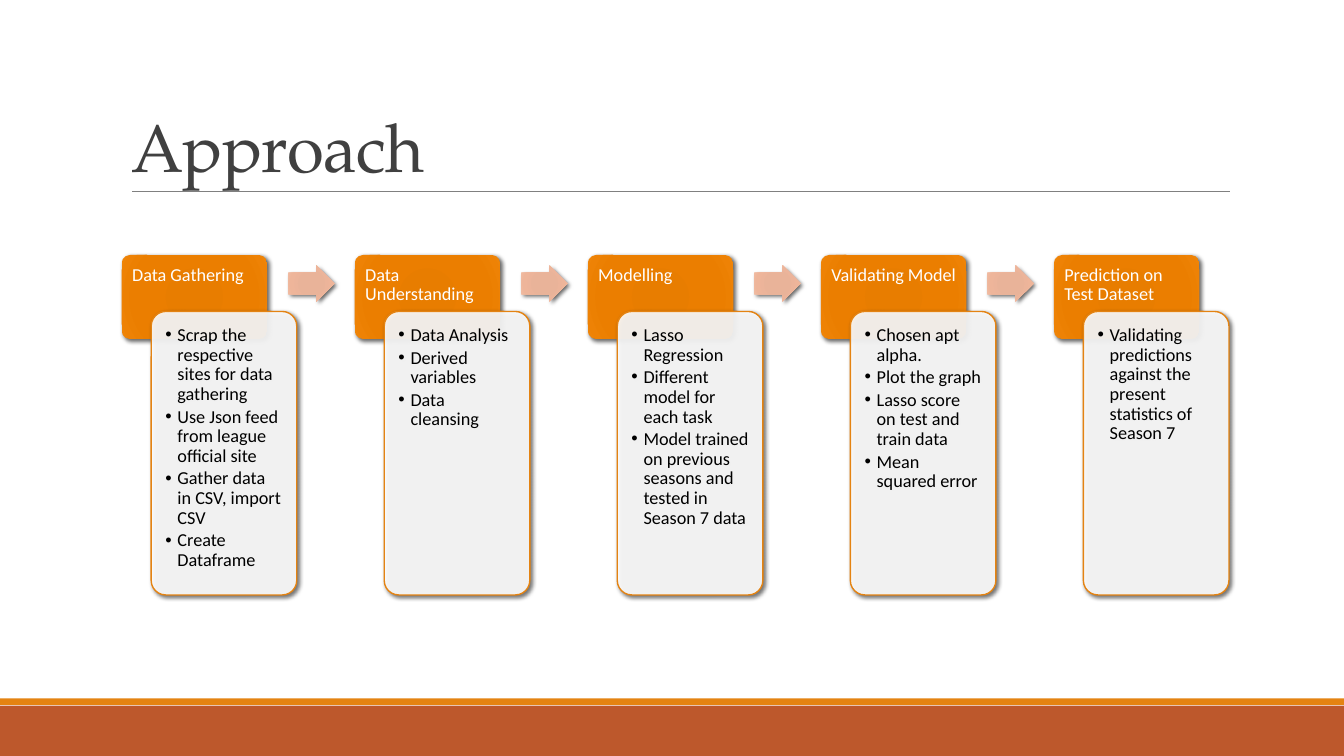
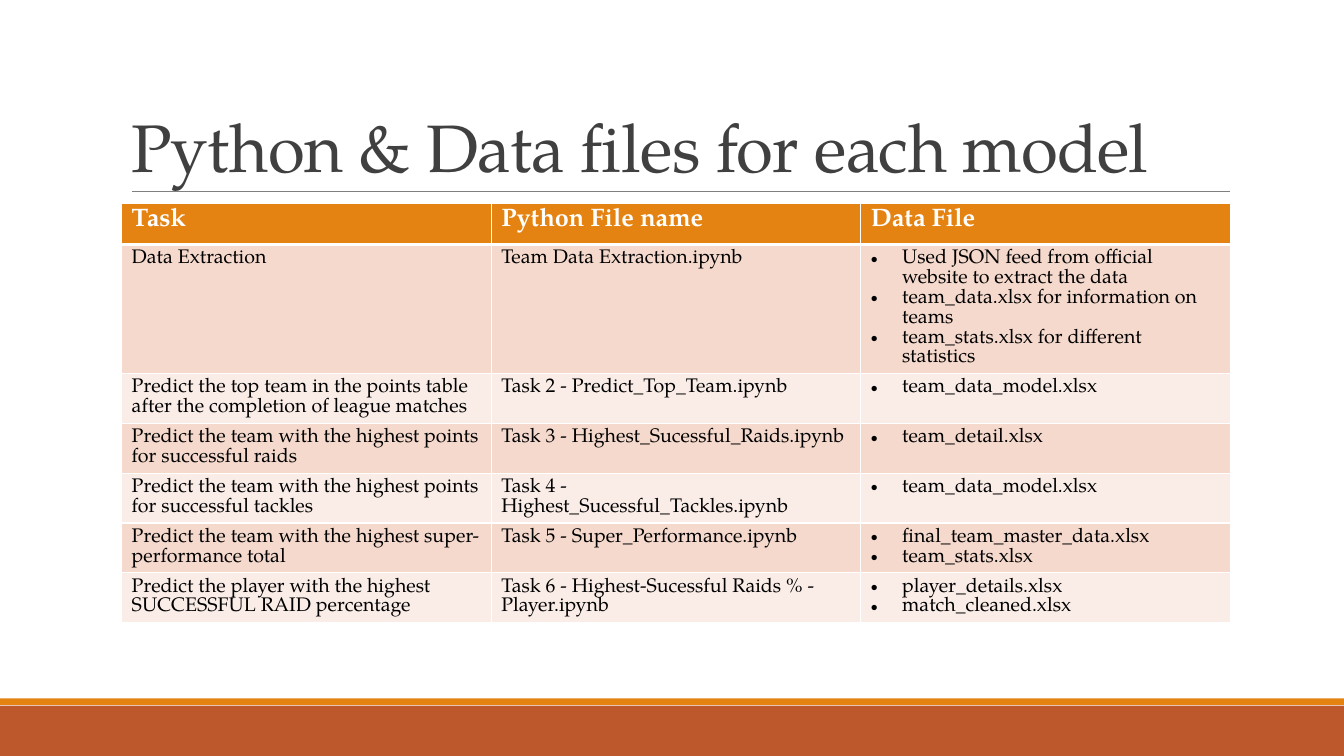
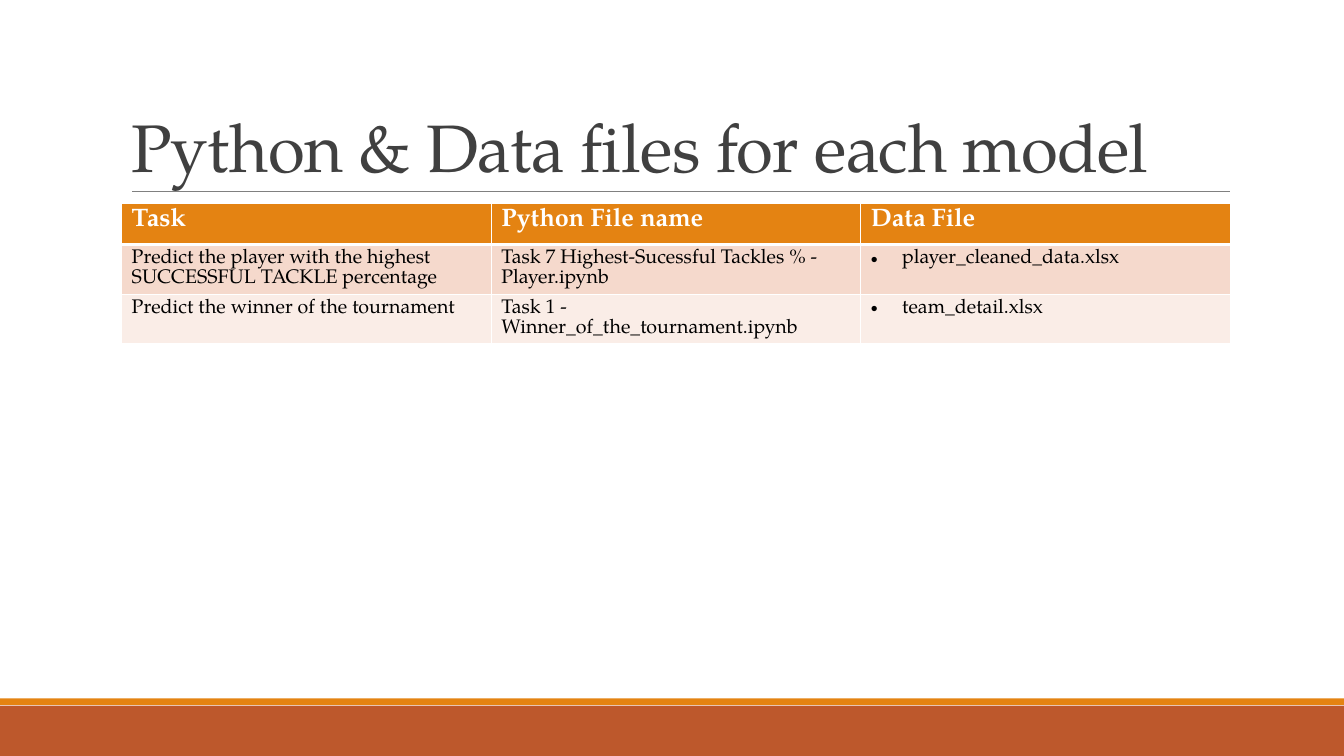
from lxml.etree import SubElement
from pptx import Presentation
from pptx.dml.color import RGBColor
from pptx.enum.shapes import MSO_CONNECTOR, MSO_SHAPE
from pptx.enum.text import MSO_ANCHOR, PP_ALIGN
from pptx.oxml import parse_xml
from pptx.oxml.ns import nsdecls, qn
from pptx.util import Inches, Pt

RUST = RGBColor(0xBD, 0x58, 0x2C)
ORANGE = RGBColor(0xE4, 0x83, 0x12)
RULE_GRAY = RGBColor(0x80, 0x80, 0x80)
TITLE_GRAY = RGBColor(0x40, 0x40, 0x40)
WHITE = RGBColor(0xFF, 0xFF, 0xFF)
BLACK = RGBColor(0, 0, 0)
BAND_DARK = RGBColor(0xF5, 0xD9, 0xCC)
BAND_LIGHT = RGBColor(0xFA, 0xED, 0xE7)
STOPS = (0, 34, 70, 100)
HEADING_GRADIENT = [RGBColor.from_string(c) for c in ("E57B00", "E87D00", "EB7E00", "EF8407")]
ARROW_GRADIENT = [RGBColor.from_string(c) for c in ("E8B196", "E9B399", "EEB59A", "F3C0A8")]

SERIF = "TeX Gyre Pagella"
SANS = "Calibri"
TITLE_FONT = {"name": SERIF, "size": Pt(48), "bold": False}
HEADER_FONT = {"name": SERIF, "size": Pt(18), "bold": True}
CELL_FONT = {"name": SERIF, "size": Pt(14), "bold": False}
STEP_FONT = {"name": SANS, "size": Pt(13), "bold": False}

# Horizontal and vertical lengths are percentages of the slide's size.
LEFT, WIDTH = 9.05, 82.5
STEP_TOP, HEADING_HEIGHT, STEP_WIDTH, STEP_PITCH = 33.73, 11.1, 10.83, 17.34
CARD_SHIFT, CARD_TOP, CARD_HEIGHT = 2.2, 41.2, 37.5
ARROW_SHIFT, ARROW_TOP, ARROW_WIDTH, ARROW_HEIGHT = 12.4, 35.1, 3.45, 4.8

STEPS = [
    ("Data Gathering", ["Scrap the respective sites for data gathering",
                        "Use Json feed from league official site",
                        "Gather data in CSV, import CSV", "Create Dataframe"]),
    ("Data Understanding", ["Data Analysis", "Derived variables", "Data cleansing"]),
    ("Modelling", ["Lasso Regression", "Different model for each task",
                   "Model trained on previous seasons and tested in Season 7 data"]),
    ("Validating Model", ["Chosen apt alpha.", "Plot the graph",
                          "Lasso score on test and train data", "Mean squared error"]),
    ("Prediction on Test Dataset",
     ["Validating predictions against the present statistics of Season 7"]),
]
FILES_TITLE = "Python & Data files for each model"
FILES_HEADER = ("Task", "Python File name", "Data File")
MODEL_FILES = [
    ("Data Extraction", "Team Data Extraction.ipynb",
     ["Used JSON feed from official website to extract the data",
      "team_data.xlsx for information on teams",
      "team_stats.xlsx for different statistics"]),
    ("Predict the top team in the points table after the completion of league matches",
     "Task 2 - Predict_Top_Team.ipynb", ["team_data_model.xlsx"]),
    ("Predict the team with the highest points for successful raids",
     "Task 3 - Highest_Sucessful_Raids.ipynb", ["team_detail.xlsx"]),
    ("Predict the team with the highest points for successful tackles",
     "Task 4 - Highest_Sucessful_Tackles.ipynb", ["team_data_model.xlsx"]),
    ("Predict the team with the highest super-performance total",
     "Task 5 - Super_Performance.ipynb", ["final_team_master_data.xlsx", "team_stats.xlsx"]),
    ("Predict the player with the highest SUCCESSFUL RAID percentage",
     "Task 6 - Highest-Sucessful Raids % - Player.ipynb",
     ["player_details.xlsx", "match_cleaned.xlsx"]),
]
FINAL_FILES = [
    ("Predict the player with the highest SUCCESSFUL TACKLE percentage",
     "Task 7 Highest-Sucessful Tackles % - Player.ipynb", ["player_cleaned_data.xlsx"]),
    ("Predict the winner of the tournament",
     "Task 1 - Winner_of_the_tournament.ipynb", ["team_detail.xlsx"]),
]


def set_all(target, values):
    for name, value in values.items():
        setattr(target, name, value)


def write(frame, lines, font, color, bullet_indent=None, **spacing):
    """Put each line in its own paragraph, bulleted when an indent is given."""
    for number, line in enumerate(lines):
        paragraph = frame.add_paragraph() if number else frame.paragraphs[0]
        paragraph.alignment = PP_ALIGN.LEFT
        set_all(paragraph, spacing)
        run = paragraph.add_run()
        run.text = line
        set_all(run.font, font)
        run.font.color.rgb = color
        if bullet_indent:
            props = paragraph._p.get_or_add_pPr()
            props.set("marL", str(Inches(bullet_indent)))
            props.set("indent", str(-Inches(bullet_indent)))
            SubElement(props, qn("a:buFont"), typeface="Arial")
            SubElement(props, qn("a:buChar"), char="•")


def fill_radial(shape, colors):
    stops = "".join(f'<a:gs pos="{pos * 1000}"><a:srgbClr val="{color}"/></a:gs>'
                    for pos, color in zip(STOPS, colors))
    shape.fill.background()
    props = shape.element.spPr
    props.replace(props.find(qn("a:noFill")), parse_xml(
        f'<a:gradFill {nsdecls("a")} rotWithShape="1"><a:gsLst>{stops}</a:gsLst>'
        '<a:path path="circle"><a:fillToRect l="100000" t="100000" r="100000" b="100000"/>'
        '</a:path></a:gradFill>'))


def cast_shadow(shape):
    shape.element.spPr.find(qn("a:effectLst")).append(parse_xml(
        f'<a:outerShdw {nsdecls("a")} blurRad="{Pt(3)}" dist="{Pt(2)}" dir="2700000" '
        'algn="br" rotWithShape="0"><a:srgbClr val="000000"><a:alpha val="60000"/>'
        '</a:srgbClr></a:outerShdw>'))


def set_borders(cell, **widths):
    props = cell._tc.get_or_add_tcPr()
    for side, width in widths.items():
        props.append(parse_xml(
            f'<a:ln{side} {nsdecls("a")} w="{Pt(width)}"><a:solidFill>'
            f'<a:srgbClr val="{WHITE}"/></a:solidFill></a:ln{side}>'))


class Deck:
    def __init__(self):
        self.prs = Presentation()
        self.prs.slide_width, self.prs.slide_height = Inches(13.33), Inches(7.5)
        self.layout = self.prs.slide_layouts[5]
        self.slide = None

    def box(self, left, top, width, height):
        across, down = self.prs.slide_width / 100, self.prs.slide_height / 100
        return [round(n) for n in (left * across, top * down, width * across, height * down)]

    def shape(self, kind, *area):
        shape = self.slide.shapes.add_shape(kind, *self.box(*area))
        shape.shadow.inherit = False
        shape.line.fill.background()
        return shape

    def furnish_layout(self):
        """Draw the bands and title rule once and hand them to the layout."""
        furniture = []
        for color, top, height in ((RUST, 93.33, 6.67), (ORANGE, 92.4, 0.86)):
            band = self.shape(MSO_SHAPE.RECTANGLE, 0, top, 100, height)
            band.fill.solid()
            band.fill.fore_color.rgb = color
            furniture.append(band)
        left, top, right, _ = self.box(9.83, 25.3, 91.55, 0)
        rule = self.slide.shapes.add_connector(MSO_CONNECTOR.STRAIGHT, left, top, right, top)
        rule.line.color.rgb = RULE_GRAY
        rule.line.width = Pt(0.5)
        SubElement(rule.element.spPr, qn("a:effectLst"))
        for part in furniture + [rule]:
            self.layout.shapes.element.append(part.element)

    def open_slide(self, title):
        first = self.slide is None
        self.slide = self.prs.slides.add_slide(self.layout)
        if first:
            self.furnish_layout()
        heading = self.slide.shapes.title
        names = ("left", "top", "width", "height")
        set_all(heading, dict(zip(names, self.box(9, 4.13, WIDTH, 21.2))))
        heading.text_frame.vertical_anchor = MSO_ANCHOR.BOTTOM
        write(heading.text_frame, [title], TITLE_FONT, TITLE_GRAY, line_spacing=0.85)
        heading.text_frame.paragraphs[0].runs[0]._r.get_or_add_rPr().set("spc", "-50")

    def rounded_panel(self, *area, inset):
        panel = self.shape(MSO_SHAPE.ROUNDED_RECTANGLE, *area)
        panel.adjustments[0] = 0.1
        cast_shadow(panel)
        frame = panel.text_frame
        frame.word_wrap = True
        frame.vertical_anchor = MSO_ANCHOR.TOP
        for side in ("left", "top", "right", "bottom"):
            setattr(frame, f"margin_{side}", Inches(inset))
        return panel

    def step(self, left, name, points):
        heading = self.rounded_panel(left, STEP_TOP, STEP_WIDTH, HEADING_HEIGHT, inset=0.08)
        fill_radial(heading, HEADING_GRADIENT)
        write(heading.text_frame, [name], STEP_FONT, WHITE, line_spacing=0.9)

        card = self.rounded_panel(left + CARD_SHIFT, CARD_TOP, STEP_WIDTH, CARD_HEIGHT, inset=0.1)
        card.fill.solid()
        card.fill.fore_color.rgb = WHITE
        tint = card.element.spPr.find(qn("a:solidFill")).find(qn("a:srgbClr"))
        SubElement(tint, qn("a:alpha"), val="90000")
        card.line.color.rgb = ORANGE
        card.line.width = Pt(1)
        write(card.text_frame, points, STEP_FONT, BLACK, 0.12,
              line_spacing=0.9, space_after=Pt(2))

    def arrow(self, left):
        arrow = self.shape(MSO_SHAPE.RIGHT_ARROW, left, ARROW_TOP, ARROW_WIDTH, ARROW_HEIGHT)
        arrow.adjustments[0] = 0.6
        arrow.adjustments[1] = 0.5
        fill_radial(arrow, ARROW_GRADIENT)
        cast_shadow(arrow)

    def cell(self, cell, lines, font, color, fill, bottom=1, bullet_indent=None):
        set_borders(cell, L=1, R=1, T=1, B=bottom)
        cell.fill.solid()
        cell.fill.fore_color.rgb = fill
        write(cell.text_frame, lines, font, color, bullet_indent)

    def files_table(self, rows):
        count = len(rows) + 1
        area = self.box(LEFT, 26.93, WIDTH, 5.4 * count)
        table = self.slide.shapes.add_table(count, len(FILES_HEADER), *area).table
        for column, label in enumerate(FILES_HEADER):
            self.cell(table.cell(0, column), [label], HEADER_FONT, WHITE, ORANGE, bottom=3)
        for number, (task, notebook, data_files) in enumerate(rows, 1):
            fill = BAND_DARK if number % 2 else BAND_LIGHT
            for column, lines in enumerate(([task], [notebook])):
                self.cell(table.cell(number, column), lines, CELL_FONT, BLACK, fill)
            self.cell(table.cell(number, 2), data_files, CELL_FONT, BLACK, fill,
                      bullet_indent=0.31)


def main():
    deck = Deck()
    deck.open_slide("Approach")
    for number, (name, points) in enumerate(STEPS):
        left = LEFT + number * STEP_PITCH
        deck.step(left, name, points)
        if number < len(STEPS) - 1:
            deck.arrow(left + ARROW_SHIFT)
    for rows in (MODEL_FILES, FINAL_FILES):
        deck.open_slide(FILES_TITLE)
        deck.files_table(rows)
    deck.prs.save("out.pptx")


if __name__ == "__main__":
    main()
